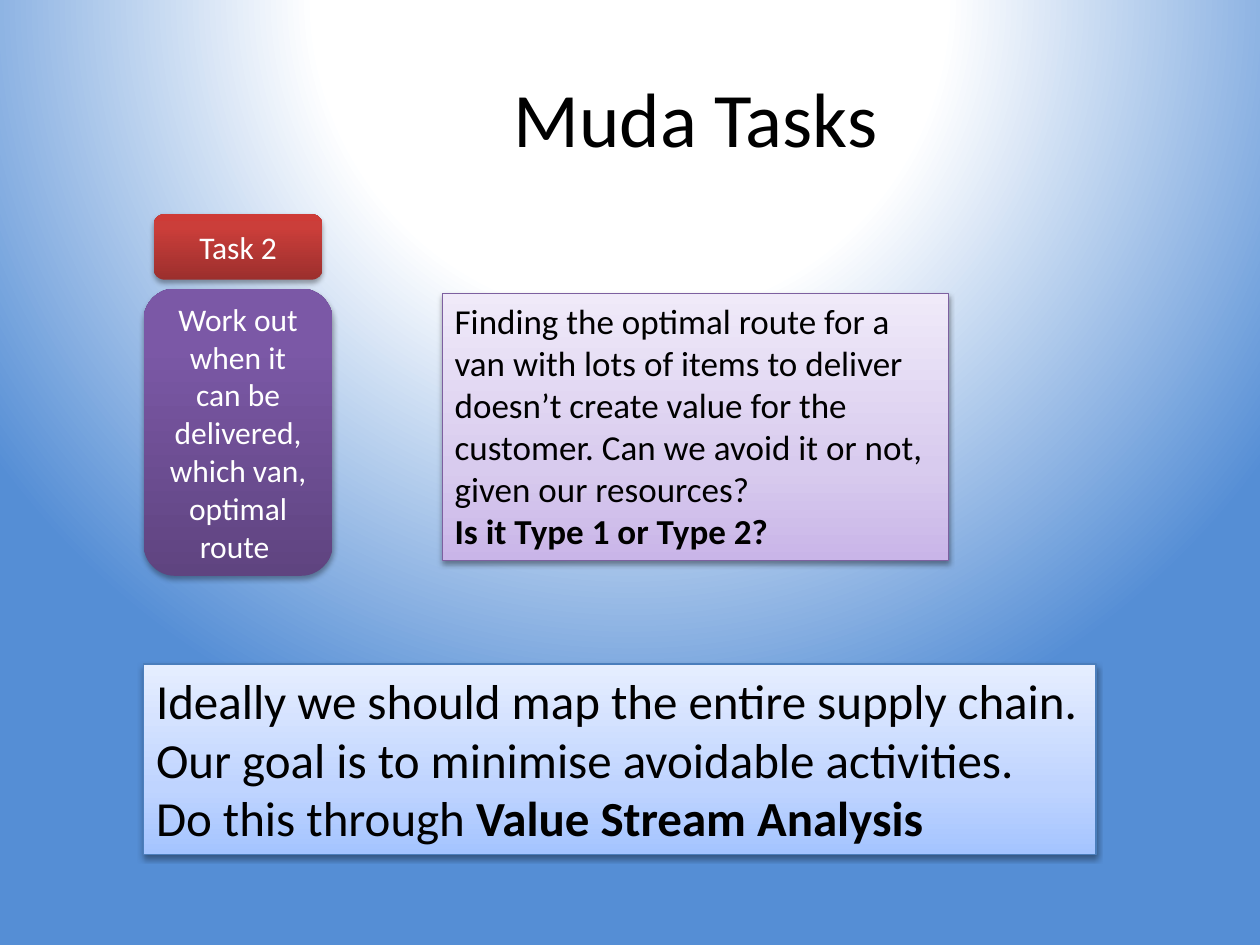
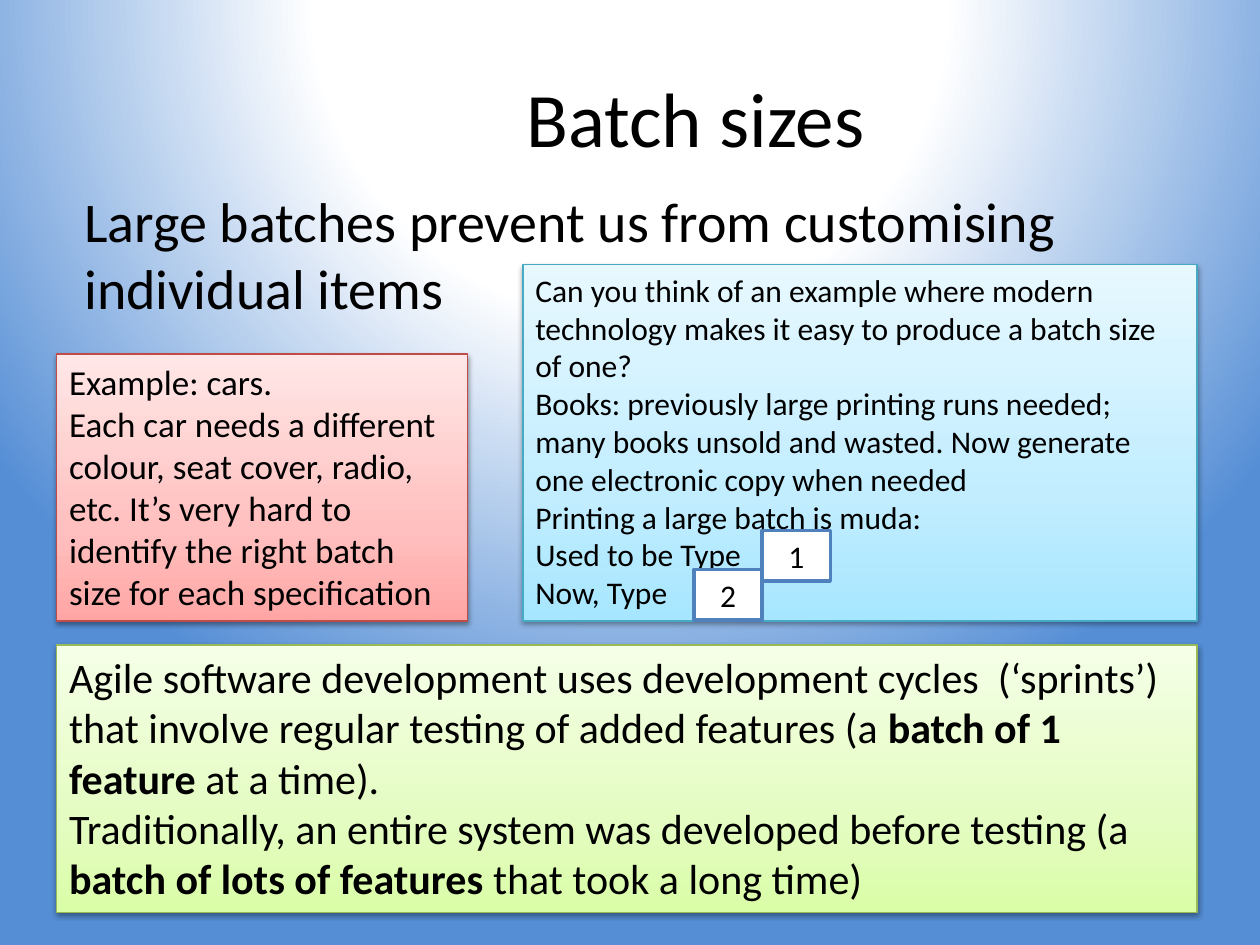
from lxml import etree
from pptx import Presentation
from pptx.dml.color import RGBColor
from pptx.enum.shapes import MSO_SHAPE
from pptx.enum.text import MSO_ANCHOR, MSO_AUTO_SIZE, PP_ALIGN
from pptx.oxml.ns import nsdecls, qn
from pptx.util import Inches, Pt

RECTANGLE, ROUNDED = MSO_SHAPE.RECTANGLE, MSO_SHAPE.ROUNDED_RECTANGLE
TOP, MIDDLE = MSO_ANCHOR.TOP, MSO_ANCHOR.MIDDLE
LEFT, CENTER = PP_ALIGN.LEFT, PP_ALIGN.CENTER
GROW, FIXED = MSO_AUTO_SIZE.SHAPE_TO_FIT_TEXT, MSO_AUTO_SIZE.NONE

# Shared style
WIDTH, HEIGHT = 10, 7.5
FONT, BLACK, WHITE, BLUE = "Calibri", "000000", "FFFFFF", "4F81BD"
TITLE_AREA = (1.54, 0.3, 7.96, 1.25)
BACKGROUND = [(0, "FFFFFF", 100), (40, "FFFFFF", 57), (100, "558ED5", 56)]
CIRCLE = ('<a:path path="circle"><a:fillToRect l="50000" t="-80000" '
          'r="50000" b="180000"/></a:path>')
UPWARD = '<a:lin ang="16200000" scaled="0"/>'

# Colours from bottom to top, and the outline of each panel
PANEL_STOPS, TASK_STOPS = (0, 35, 100), (0, 80, 100)
PANELS = {
    "blue": (("A4C4FF", "BFD4FF", "E6EEFF"), "4B7EBC"),
    "purple": (("C9B5E8", "D8CBEE", "F0EAF9"), "7D60A0"),
    "aqua": (("A7E6FF", "C1EDFF", "E7F8FF"), "46AAC5"),
    "red": (("FFA6A5", "FFC0BF", "FFE7E7"), "BF4C48"),
    "green": (("DAFDA7", "E4FCC2", "F5FFE7"), "98B955"),
}
TASK_RED = ("9C2F2D", "CB3E3A", "CE3B37")
TASK_PURPLE = ("5F4480", "7B58A6", "7C57A8")

# Grid
TASK_LEFT, TASK_WIDTH, LABEL_WIDTH = 1.14, 1.5, 1.34
MARGIN, RIGHT_EDGE, PANEL_BOTTOM = 0.45, 9.5, 4.93
CAR_WIDTH, BOOK_LEFT, PANEL_HEIGHT = 3.26, 4.15, 2.12
ANSWER_LEFT, ANSWER_WIDTH, ANSWER_HEIGHT = 5.51, 0.54, 0.4

# Content: a paragraph is a list of runs, and a run in a tuple is bold
TASKS = [
    ("Task 2", TASK_RED, LABEL_WIDTH, 1.7, 0.52),
    ("Work out when it can be delivered, which van, optimal route ",
     TASK_PURPLE, TASK_WIDTH, 2.29, 2.28),
]
ANSWERS = [("2", 4.52), ("1", 4.21)]
SLIDES = [
    {
        "title": "Muda Tasks",
        "panels": [
            ("blue", (TASK_LEFT, 5.27, 7.56, 1.51), 28, [
                ["Ideally we should map the entire supply chain."],
                ["Our goal is to minimise avoidable activities."],
                ["Do this through ", ("Value Stream Analysis",)],
            ]),
            ("purple", (3.51, 2.33, 4.02, PANEL_HEIGHT), 20, [
                ["Finding the optimal route for a van with lots of items to "
                 "deliver doesn’t create value for the customer. Can we avoid "
                 "it or not, given our resources?"],
                [("Is it Type 1 or Type 2?",)],
            ]),
        ],
    },
    {
        "title": "Batch sizes",
        "body": "Large batches prevent us from customising individual items",
        "panels": [
            ("aqua", (BOOK_LEFT, 2.1, RIGHT_EDGE - BOOK_LEFT,
                      PANEL_BOTTOM - 2.1), 18, [
                ["Can you think of an example where modern technology makes "
                 "it easy to produce a batch size of one?"],
                ["Books: previously large printing runs needed; many books "
                 "unsold and wasted. Now generate one electronic copy when "
                 "needed"],
                ["Printing a large batch is muda:"],
                ["Used to be Type"],
                ["Now, Type"],
            ]),
            ("red", (MARGIN, PANEL_BOTTOM - PANEL_HEIGHT, CAR_WIDTH,
                     PANEL_HEIGHT), 20, [
                ["Example: cars."],
                ["Each car needs a different colour, seat cover, radio, etc. "
                 "It’s very hard to identify the right batch size for each "
                 "specification"],
            ]),
            ("green", (MARGIN, 5.12, RIGHT_EDGE - MARGIN, PANEL_HEIGHT), 24, [
                ["Agile software development uses development cycles  "
                 "(‘sprints’) that involve regular testing of added "
                 "features (a ", ("batch of 1 feature",), " at a time)."],
                ["Traditionally, an entire system was developed before "
                 "testing (a ", ("batch of lots of features ",),
                 "that took a long time)"],
            ]),
        ],
    },
]


def color(value):
    return RGBColor.from_string(value)


def gradient(stops, direction):
    marks = "".join(
        f'<a:gs pos="{position * 1000}"><a:srgbClr val="{value}">'
        f'<a:alpha val="{opacity * 1000}"/></a:srgbClr></a:gs>'
        for position, value, opacity in stops)
    return etree.fromstring(
        f'<a:gradFill {nsdecls("a")} rotWithShape="1">'
        f'<a:gsLst>{marks}</a:gsLst>{direction}</a:gradFill>')


def paint_background(master):
    master.background.fill.background()
    properties = master.element.find(".//" + qn("p:bgPr"))
    properties.replace(properties.find(qn("a:noFill")),
                       gradient(BACKGROUND, CIRCLE))


def write(shape, paragraphs, size, text_color=BLACK, align=LEFT, anchor=TOP,
          fit=FIXED):
    frame = shape.text_frame
    frame.word_wrap = True
    frame.auto_size = fit
    frame.vertical_anchor = anchor
    for index, runs in enumerate(paragraphs):
        paragraph = frame.add_paragraph() if index else frame.paragraphs[0]
        paragraph.alignment = align
        for part in runs:
            bold = isinstance(part, tuple)
            run = paragraph.add_run()
            run.text = part[0] if bold else part
            run.font.name, run.font.size = FONT, Pt(size)
            run.font.bold = bold
            run.font.color.rgb = color(text_color)


def add_text(slide, area, paragraphs, size, **style):
    box = slide.shapes.add_textbox(*map(Inches, area))
    write(box, paragraphs, size, **style)


def add_box(slide, kind, area, line=None, line_width=0.75):
    box = slide.shapes.add_shape(kind, *map(Inches, area))
    box.shadow.inherit = False
    if line:
        box.line.color.rgb = color(line)
        box.line.width = Pt(line_width)
    else:
        box.line.fill.background()
    return box


def shade(shape, positions, colors, opacity, distance):
    """Fill with an upward gradient and drop a soft shadow below."""
    shape.fill.background()
    properties = shape.element.spPr
    stops = [(position, value, 100)
             for position, value in zip(positions, colors)]
    properties.replace(properties.find(qn("a:noFill")),
                       gradient(stops, UPWARD))
    properties.find(qn("a:effectLst")).append(etree.fromstring(
        f'<a:outerShdw {nsdecls("a")} blurRad="{Pt(3.1)}" '
        f'dist="{Pt(distance)}" dir="5400000" rotWithShape="0">'
        f'<a:srgbClr val="{BLACK}"><a:alpha val="{opacity * 1000}"/>'
        '</a:srgbClr></a:outerShdw>'))


def add_panel(slide, name, area, size, paragraphs):
    colors, line = PANELS[name]
    panel = add_box(slide, RECTANGLE, area, line)
    shade(panel, PANEL_STOPS, colors, 38, 1.6)
    write(panel, paragraphs, size, fit=GROW)


def add_tasks(slide):
    for text, colors, width, top, height in TASKS:
        left = TASK_LEFT + (TASK_WIDTH - width) / 2
        task = add_box(slide, ROUNDED, (left, top, width, height))
        shade(task, TASK_STOPS, colors, 35, 1.8)
        write(task, [[text]], 18, WHITE, CENTER, MIDDLE)


def add_answers(slide):
    for column, (text, top) in enumerate(ANSWERS):
        left = ANSWER_LEFT + column * ANSWER_WIDTH
        answer = add_box(slide, RECTANGLE,
                         (left, top, ANSWER_WIDTH, ANSWER_HEIGHT), BLUE, 2)
        answer.fill.solid()
        answer.fill.fore_color.rgb = color(WHITE)
        write(answer, [[text]], 18, align=CENTER, fit=GROW)


def main():
    presentation = Presentation()
    presentation.slide_width = Inches(WIDTH)
    presentation.slide_height = Inches(HEIGHT)
    paint_background(presentation.slide_master)
    for content, add_details in zip(SLIDES, (add_tasks, add_answers)):
        slide = presentation.slides.add_slide(presentation.slide_layouts[6])
        add_text(slide, TITLE_AREA, [[content["title"]]], 44,
                 align=CENTER, anchor=MIDDLE)
        if "body" in content:
            add_text(slide, (0.57, 1.43, 9, 4.95), [[content["body"]]], 32)
        for panel in content["panels"]:
            add_panel(slide, *panel)
        add_details(slide)
    presentation.save("out.pptx")


if __name__ == "__main__":
    main()
